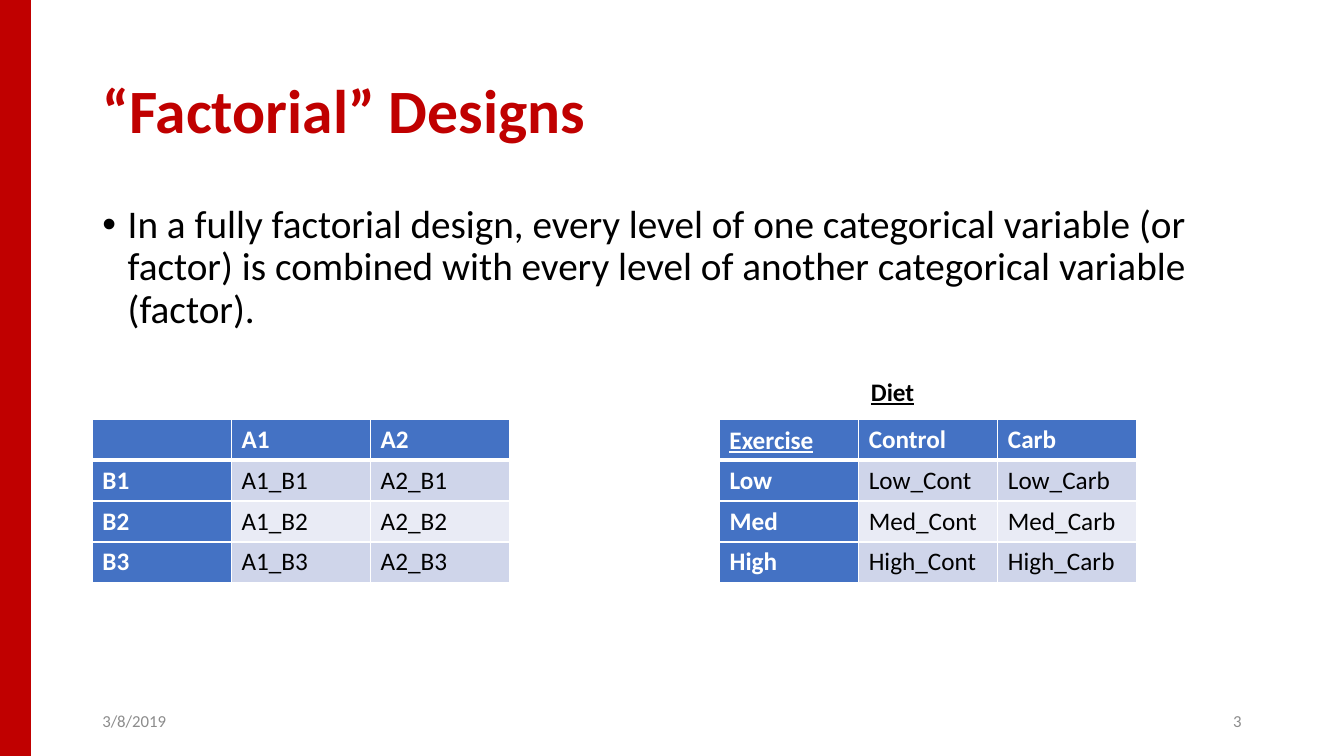
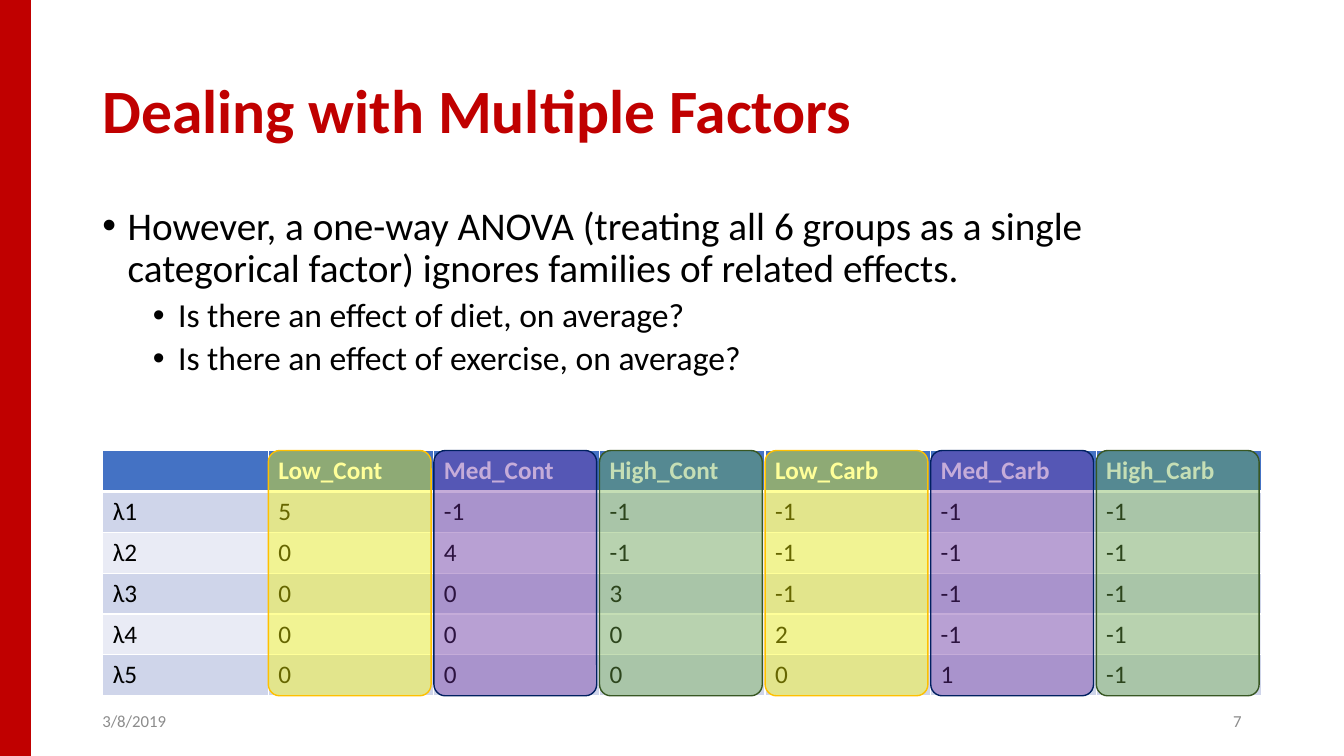
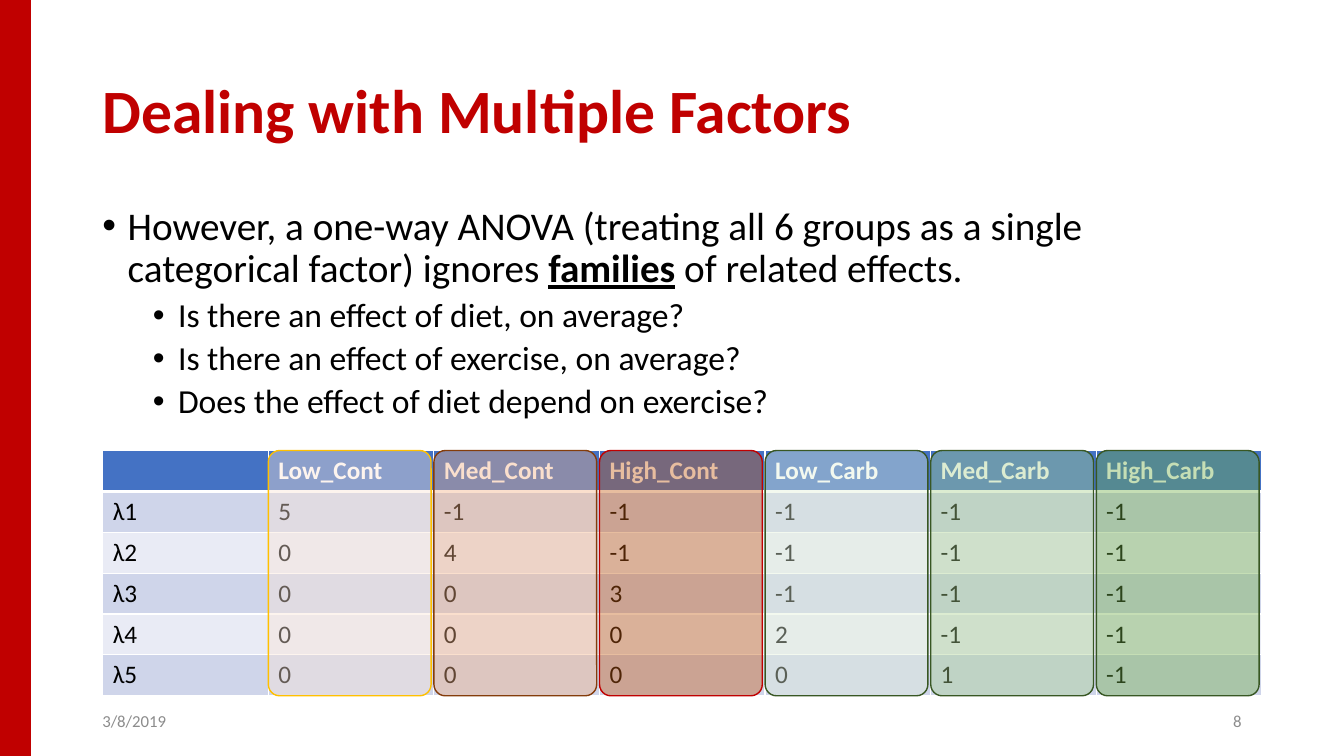
from lxml import etree
from pptx import Presentation
from pptx.dml.color import RGBColor
from pptx.enum import shapes, text
from pptx.oxml import ns
from pptx.util import Pt

FONT = "Calibri"
RED, WHITE, BLACK, GRAY = "C00000", "FFFFFF", "000000", "8C8C8C"
HEADER, BANDS = "4472C4", ("CFD5EA", "E9EBF5")
MARGIN, CONTENT_WIDTH = 66, 828
ROW_HEIGHT = 29.2
GROUPS = ["Low_Cont", "Med_Cont", "High_Cont", "Low_Carb", "Med_Carb", "High_Carb"]
EXERCISE_COLORS = [("FFFF00", "FFC000"), ("7030A0", "002060"), ("70AD47", "385723")]
DIET_COLORS = [
    ("FBE5D6", "FFC000"), ("F4B183", "843C0B"), ("C55A11", "C00000"),
    ("E2F0D9", "385723"), ("A9D18E", "385723"), ("70AD47", "385723"),
]


def rgb(value):
    return RGBColor.from_string(value)


def points(*lengths):
    return [Pt(length) for length in lengths]


def write(paragraph, words, size=18, color=BLACK, bold=False, underline=False):
    run = paragraph.add_run()
    run.text = words
    font = run.font
    font.name, font.size = FONT, Pt(size)
    font.bold, font.underline = bold, underline
    font.color.rgb = rgb(color)


def add_element(parent, tag, **attributes):
    return etree.SubElement(parent, ns.qn(tag), attributes)


def place(part, box):
    part.left, part.top, part.width, part.height = points(*box)


def add_label(slide, box, words, align=text.PP_ALIGN.LEFT,
              anchor=text.MSO_ANCHOR.TOP, wrap=False, **style):
    frame = slide.shapes.add_textbox(*points(*box)).text_frame
    frame.word_wrap = wrap
    frame.vertical_anchor = anchor
    frame.paragraphs[0].alignment = align
    write(frame.paragraphs[0], words, **style)


def paint(shape, fill, line, opacity=100):
    shape.shadow.inherit = False
    shape.fill.solid()
    shape.fill.fore_color.rgb = rgb(fill)
    shape.line.color.rgb = rgb(line)
    shape.line.width = Pt(1)
    if opacity < 100:
        color = shape.fill._xPr.find(".//" + ns.qn("a:srgbClr"))
        add_element(color, "a:alpha", val=str(opacity * 1000))


def add_frame(deck, heading, number):
    slide = deck.slides.add_slide(deck.slide_layouts[1])
    band = slide.shapes.add_shape(shapes.MSO_SHAPE.RECTANGLE, *points(0, 0, 21.6, 540))
    paint(band, RED, RED)
    title = slide.shapes.title
    place(title, (MARGIN, 28.8, CONTENT_WIDTH, 104.4))
    title.text_frame.auto_size = text.MSO_AUTO_SIZE.NONE
    title.text_frame.vertical_anchor = text.MSO_ANCHOR.MIDDLE
    heading_line = title.text_frame.paragraphs[0]
    heading_line.alignment = text.PP_ALIGN.LEFT
    heading_line.line_spacing = 0.9
    write(heading_line, heading, size=44, color=RED, bold=True)
    right = MARGIN + CONTENT_WIDTH - 216
    for left, words, align in [(MARGIN, "3/8/2019", text.PP_ALIGN.LEFT),
                               (right, str(number), text.PP_ALIGN.RIGHT)]:
        add_label(slide, (left, 500.5, 216, 28.75), words, align,
                  text.MSO_ANCHOR.MIDDLE, True, size=12, color=GRAY)
    return slide


def add_bullets(slide, top, statement, questions=()):
    body = slide.placeholders[1]
    place(body, (MARGIN, top, CONTENT_WIDTH, 342.6))
    frame = body.text_frame
    frame.auto_size = text.MSO_AUTO_SIZE.NONE
    bullets = [(0, statement)] + [(1, [(question, {})]) for question in questions]
    for index, (level, pieces) in enumerate(bullets):
        paragraph = frame.add_paragraph() if index else frame.paragraphs[0]
        paragraph.level = level
        properties = paragraph._p.get_or_add_pPr()
        properties.set("marL", str(Pt(18 + 36 * level)))
        properties.set("indent", str(Pt(-18)))
        add_element(properties, "a:buFont", typeface="Arial")
        add_element(properties, "a:buChar", char="•")
        paragraph.line_spacing = 0.9
        paragraph.space_before = Pt(5 if index else 0)
        for words, style in pieces:
            write(paragraph, words, size=24 if level else 28, **style)


def format_cell(cell, words, fill, is_header, top_border, bottom_border):
    properties = cell._tc.get_or_add_tcPr()
    borders = {"L": 1, "R": 1, "T": top_border, "B": bottom_border}
    for side, width in borders.items():
        line = add_element(properties, f"a:ln{side}", w=str(Pt(width)))
        add_element(add_element(line, "a:solidFill"), "a:srgbClr", val=WHITE)
    cell.fill.solid()
    cell.fill.fore_color.rgb = rgb(fill)
    if words:
        write(cell.text_frame.paragraphs[0], words,
              color=WHITE if is_header else BLACK, bold=is_header)


def add_grid(slide, left, top, column_width, rows, header_column=False):
    box = (left, top, column_width * len(rows[0]), ROW_HEIGHT * len(rows))
    table = slide.shapes.add_table(len(rows), len(rows[0]), *points(*box)).table
    table.first_col = header_column
    for column in table.columns:
        column.width = Pt(column_width)
    for r, row in enumerate(rows):
        table.rows[r].height = Pt(ROW_HEIGHT)
        for c, words in enumerate(row):
            is_header = r == 0 or (header_column and c == 0)
            fill = HEADER if is_header else BANDS[(r - 1) % 2]
            format_cell(table.cell(r, c), words, fill, is_header,
                        3 if r == 1 else 1, 3 if r == 0 else 1)


def crossed(columns, levels, combine):
    return [[""] + columns] + [
        [level] + [combine(column, level) for column in columns] for level in levels
    ]


def contrast_rows():
    count = len(GROUPS)
    rows = [[""] + GROUPS]
    for r in range(count - 1):
        weights = [0] * r + [count - 1 - r] + [-1] * (count - 1 - r)
        rows.append([f"λ{r + 1}"] + [str(weight) for weight in weights])
    return rows


def add_contrasts(slide, left, top, width, colors):
    rows = contrast_rows()
    column_width = width / len(rows[0])
    add_grid(slide, left, top, column_width, rows)
    for index, (fill, line) in enumerate(colors, 1):
        box = (left + index * column_width, top, column_width - 2, ROW_HEIGHT * len(rows))
        highlight = slide.shapes.add_shape(
            shapes.MSO_SHAPE.ROUNDED_RECTANGLE, *points(*box))
        highlight.adjustments[0] = 0.07
        paint(highlight, fill, line, opacity=40)


def build_factorial(deck):
    slide = add_frame(deck, "“Factorial” Designs", 3)
    add_bullets(slide, 142.6, [(
        "In a fully factorial design, every level of one categorical variable (or factor) "
        "is combined with every level of another categorical variable (factor).", {})])
    top, diet_left, column_width = 299.5, 514, 99.4
    generic = crossed(["A1", "A2"], ["B1", "B2", "B3"], lambda a, b: f"{a}_{b}")
    study = crossed(["Control", "Carb"], ["Low", "Med", "High"],
                    lambda diet, exercise: f"{exercise}_{diet[:4]}")
    add_grid(slide, MARGIN, top, column_width, generic, header_column=True)
    add_grid(slide, diet_left, top, column_width, study, header_column=True)
    add_label(slide, (diet_left, top, 75, 29), "Exercise",
              color=WHITE, bold=True, underline=True)
    add_label(slide, (diet_left + 101, top - 34.5, 45.4, 29), "Diet",
              bold=True, underline=True)


def build_families(deck, number, statement, questions, colors):
    slide = add_frame(deck, "Dealing with Multiple Factors", number)
    add_bullets(slide, 144, statement, questions)
    add_contrasts(slide, 73.4, 321.8, CONTENT_WIDTH, colors)


def main():
    deck = Presentation()
    deck.slide_width, deck.slide_height = points(960, 540)
    build_factorial(deck)
    opening = ("However, a one-way ANOVA (treating all 6 groups as a single "
               "categorical factor) ignores ")
    closing = " of related effects."
    questions = ["Is there an effect of diet, on average?",
                 "Is there an effect of exercise, on average?",
                 "Does the effect of diet depend on exercise?"]
    build_families(deck, 7, [(opening + "families" + closing, {})],
                   questions[:2], EXERCISE_COLORS * 2)
    emphasis = {"bold": True, "underline": True}
    build_families(deck, 8, [(opening, {}), ("families", emphasis), (closing, {})],
                   questions, DIET_COLORS)
    deck.save("out.pptx")


if __name__ == "__main__":
    main()
